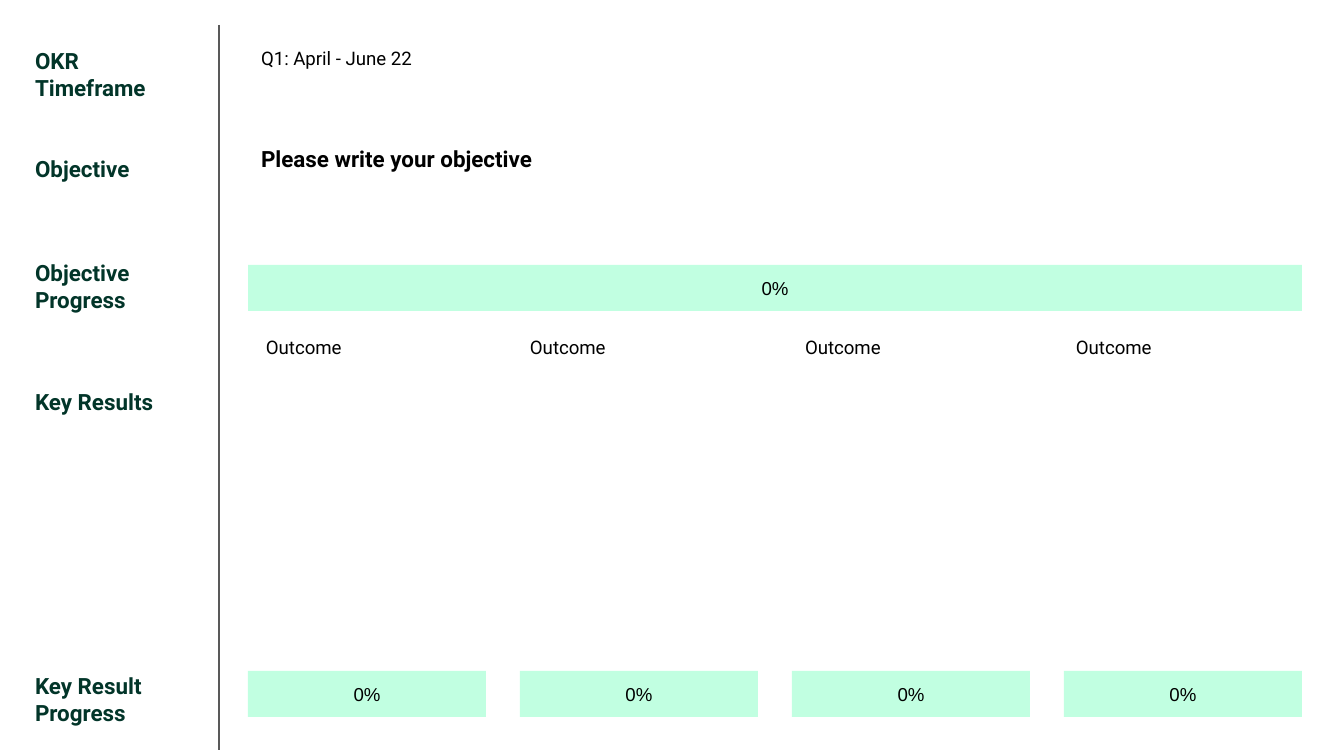
from dataclasses import dataclass

from lxml import etree
from pptx import Presentation
from pptx.dml.color import RGBColor
from pptx.enum.shapes import MSO_CONNECTOR, MSO_SHAPE
from pptx.enum.text import MSO_ANCHOR, PP_ALIGN
from pptx.oxml.ns import qn
from pptx.util import Emu, Pt

RECTANGLE = MSO_SHAPE.RECTANGLE
STRAIGHT = MSO_CONNECTOR.STRAIGHT
TOP, MIDDLE = MSO_ANCHOR.TOP, MSO_ANCHOR.MIDDLE
LEFT, CENTER = PP_ALIGN.LEFT, PP_ALIGN.CENTER

EMU_PER_PIXEL = 914400 / 134.4
INSET = 13
COLORS = {
    "background": "FFFFFF",
    "label": "023529",
    "text": "000000",
    "bar": "C1FFE1",
    "divider": "595959",
}

CONTENT_LEFT = 248
CONTENT_WIDTH = 1054
COLUMN_COUNT = 4
COLUMN_WIDTH = 238
COLUMN_STEP = (CONTENT_WIDTH - COLUMN_WIDTH) // (COLUMN_COUNT - 1)
BAR_HEIGHT = 46
LABEL_LEFT = 22
LABEL_HEIGHT = 85
OUTCOME_TOP = 325


@dataclass(frozen=True)
class Box:
    left: int
    top: int
    width: int
    height: int


@dataclass(frozen=True)
class TextStyle:
    size: int
    font: str = "Roboto"
    color: str = "text"
    bold: bool = False
    alignment: PP_ALIGN = LEFT
    anchor: MSO_ANCHOR = TOP


@dataclass(frozen=True)
class Label:
    text: str
    top: int
    width: int


LABEL_STYLE = TextStyle(12, color="label", bold=True)
OBJECTIVE_STYLE = TextStyle(12, bold=True)
BODY_STYLE = TextStyle(10)
BAR_STYLE = TextStyle(10, font="Arial", alignment=CENTER, anchor=MIDDLE)

LABELS = [
    Label("OKR Timeframe", 34, 184),
    Label("Objective", 142, 184),
    Label("Objective Progress", 246, 215),
    Label("Key Results", 375, 150),
    Label("Key Result Progress", 659, 150),
]
OUTCOMES = [
    Box(253, OUTCOME_TOP, 231, 144),
    Box(517, OUTCOME_TOP, 238, 168),
    Box(792, OUTCOME_TOP, 241, 237),
    Box(1063, OUTCOME_TOP, 231, 249),
]
PROGRESS_BARS = [Box(CONTENT_LEFT, 265, CONTENT_WIDTH, BAR_HEIGHT)] + [
    Box(CONTENT_LEFT + column * COLUMN_STEP, 671, COLUMN_WIDTH, BAR_HEIGHT)
    for column in range(COLUMN_COUNT)
]


def pixels(value: int) -> Emu:
    return Emu(round(value * EMU_PER_PIXEL))


def color(name: str) -> RGBColor:
    return RGBColor.from_string(COLORS[name])


def placement(box: Box) -> tuple[Emu, Emu, Emu, Emu]:
    return pixels(box.left), pixels(box.top), pixels(box.width), pixels(box.height)


def write_text(shape, text: str, style: TextStyle) -> None:
    frame = shape.text_frame
    frame.word_wrap = True
    frame.vertical_anchor = style.anchor
    frame.margin_left = frame.margin_right = pixels(INSET)
    frame.margin_top = frame.margin_bottom = pixels(INSET)
    paragraph = frame.paragraphs[0]
    paragraph.alignment = style.alignment
    run = paragraph.add_run()
    run.text = text
    run.font.name = style.font
    run.font.size = Pt(style.size)
    run.font.bold = style.bold
    run.font.color.rgb = color(style.color)


def add_text(slide, box: Box, text: str, style: TextStyle) -> None:
    write_text(slide.shapes.add_textbox(*placement(box)), text, style)


def add_progress_bar(slide, box: Box, text: str) -> None:
    shape = slide.shapes.add_shape(RECTANGLE, *placement(box))
    shape.shadow.inherit = False
    shape.fill.solid()
    shape.fill.fore_color.rgb = color("bar")
    shape.line.fill.background()
    write_text(shape, text, BAR_STYLE)


def add_divider(slide, left: int, top: int, bottom: int) -> None:
    line = slide.shapes.add_connector(
        STRAIGHT, pixels(left), pixels(top), pixels(left), pixels(bottom)
    )
    line.line.color.rgb = color("divider")
    line.line.width = Pt(0.75)
    etree.SubElement(line._element.spPr, qn("a:effectLst"))


presentation = Presentation()
presentation.slide_width = pixels(1344)
presentation.slide_height = pixels(756)
slide = presentation.slides.add_slide(presentation.slide_layouts[6])
slide.background.fill.solid()
slide.background.fill.fore_color.rgb = color("background")

for label in LABELS:
    label_box = Box(LABEL_LEFT, label.top, label.width, LABEL_HEIGHT)
    add_text(slide, label_box, label.text, LABEL_STYLE)
add_divider(slide, 219, 25, 750)
add_text(slide, Box(CONTENT_LEFT, 36, 402, 70), "Q1: April - June 22", BODY_STYLE)
add_text(
    slide, Box(CONTENT_LEFT, 132, 698, 54), "Please write your objective", OBJECTIVE_STYLE
)
for outcome in OUTCOMES:
    add_text(slide, outcome, "Outcome", BODY_STYLE)
for progress_bar in PROGRESS_BARS:
    add_progress_bar(slide, progress_bar, "0%")

presentation.save("out.pptx")
